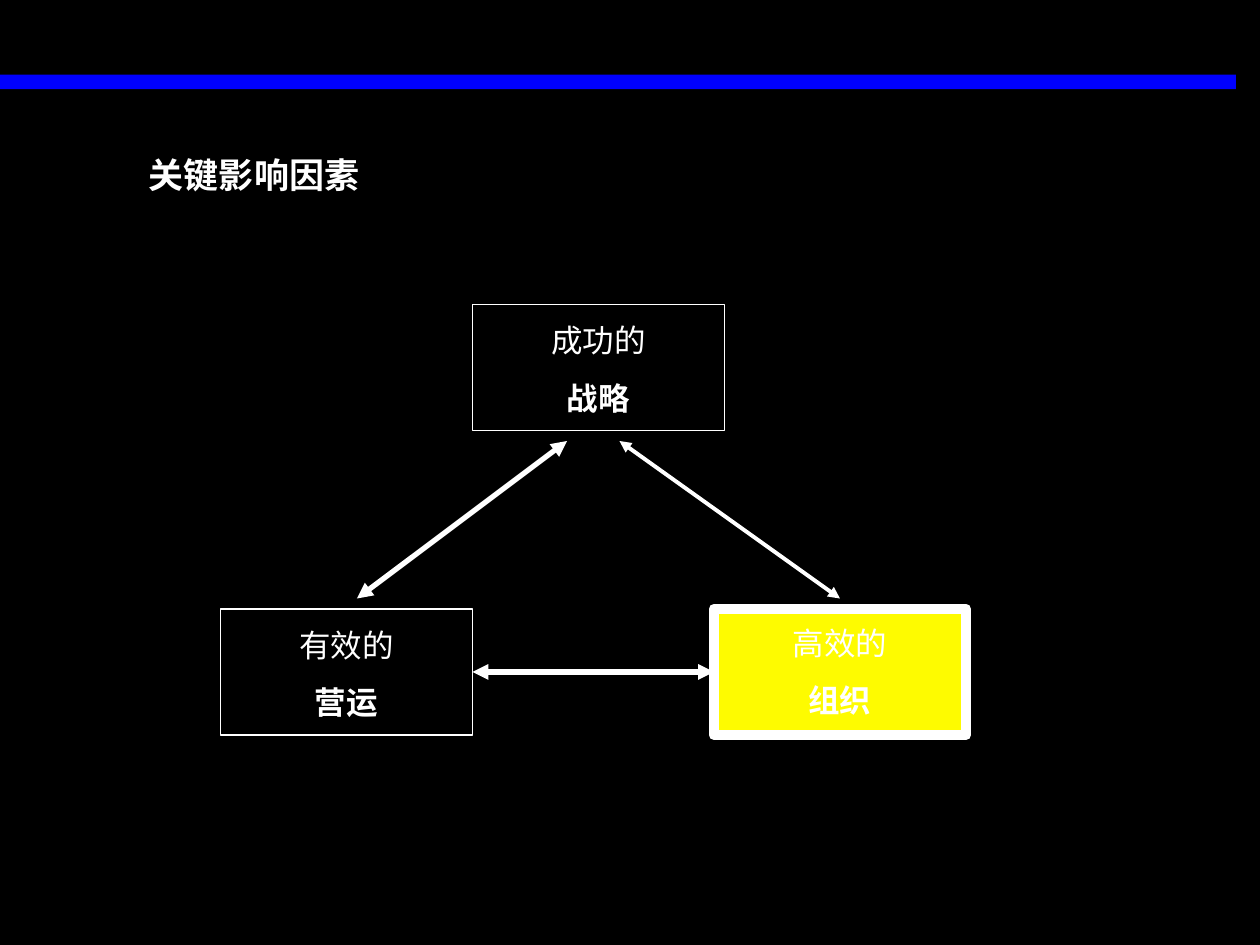
import pptx
import pptx.dml.color
import pptx.enum.shapes
import pptx.enum.text
import pptx.oxml.ns
import pptx.util
from lxml import etree

THEME = {
    "font": "Times New Roman",
    "background": "000000",
    "bar": "0000FE",
    "highlight": "FEFB00",
    "white": "FFFFFF",
    "title_size": 20,
    "label_size": 18,
    "label_gap": 11.2,
}

presentation = pptx.Presentation()
presentation.slide_width = pptx.util.Inches(10)
presentation.slide_height = pptx.util.Inches(7.5)
column = presentation.slide_width / 120
row = presentation.slide_height / 90
slide = presentation.slides.add_slide(presentation.slide_layouts[6])
slide.background.fill.solid()
slide.background.fill.fore_color.rgb = pptx.dml.color.RGBColor.from_string(THEME["background"])


def add_rectangle(left, top, width, height, fill, line_width=0):
    """Place a rectangle in grid units; a line width of 0 means no outline."""
    shape = slide.shapes.add_shape(
        pptx.enum.shapes.MSO_SHAPE.RECTANGLE,
        round(left * column), round(top * row), round(width * column), round(height * row),
    )
    shape.shadow.inherit = False
    shape.fill.solid()
    shape.fill.fore_color.rgb = pptx.dml.color.RGBColor.from_string(fill)
    if line_width:
        shape.line.color.rgb = pptx.dml.color.RGBColor.from_string(THEME["white"])
        shape.line.width = pptx.util.Pt(line_width)
    else:
        shape.line.fill.background()
    return shape


def add_text(left, top, width, height, lines, size, alignment):
    """Place white text in grid units; lines holds pairs of wording and boldness."""
    box = slide.shapes.add_textbox(
        round(left * column), round(top * row), round(width * column), round(height * row)
    )
    text_frame = box.text_frame
    text_frame.word_wrap = True
    text_frame.auto_size = pptx.enum.text.MSO_AUTO_SIZE.SHAPE_TO_FIT_TEXT
    text_frame.text = "\n".join(wording for wording, bold in lines)
    for index, paragraph in enumerate(text_frame.paragraphs):
        paragraph.alignment = alignment
        if index:
            paragraph.space_before = pptx.util.Pt(THEME["label_gap"])
        font = paragraph.runs[0].font
        font.name = THEME["font"]
        font.size = pptx.util.Pt(size)
        font.bold = lines[index][1]
        font.color.rgb = pptx.dml.color.RGBColor.from_string(THEME["white"])


# Header bar and title
add_rectangle(0, 7.1, 117.7, 1.4, THEME["bar"])
add_text(13, 14, 47, 5.3, [("关键影响因素", True)], THEME["title_size"], pptx.enum.text.PP_ALIGN.LEFT)

# Factor boxes: quality, factor, left, top, fill, line width, text offset
factors = [
    ("成功的", "战略", 45, 29, THEME["background"], 0.75, 1),
    ("高效的", "组织", 68, 58, THEME["highlight"], 6, 0.8),
    ("有效的", "营运", 21, 58, THEME["background"], 0.75, 1),
]
boxes = {}
for quality, factor, left, top, fill, line_width, text_offset in factors:
    boxes[factor] = add_rectangle(left, top, 24, 12, fill, line_width)
    add_text(left, top + text_offset, 24, 10.3, [(quality, False), (factor, True)],
             THEME["label_size"], pptx.enum.text.PP_ALIGN.CENTER)

# Double-headed arrows: start column and row, end column and row, line width
arrows = []
for start_x, start_y, end_x, end_y, line_width in [
    (45, 64, 68, 64, 3),
    (54, 42, 34, 57, 3),
    (59, 42, 80, 57, 2.25),
]:
    arrow = slide.shapes.add_connector(
        pptx.enum.shapes.MSO_CONNECTOR.STRAIGHT,
        round(start_x * column), round(start_y * row), round(end_x * column), round(end_y * row),
    )
    arrow.line.color.rgb = pptx.dml.color.RGBColor.from_string(THEME["white"])
    arrow.line.width = pptx.util.Pt(line_width)
    line_element = arrow.line._get_or_add_ln()
    for end in ("a:headEnd", "a:tailEnd"):
        etree.SubElement(line_element, pptx.oxml.ns.qn(end), type="triangle")
    etree.SubElement(arrow._element.spPr, pptx.oxml.ns.qn("a:effectLst"))
    arrows.append(arrow)

arrows[0].begin_connect(boxes["营运"], 3)
arrows[0].end_connect(boxes["组织"], 1)

presentation.save("out.pptx")
